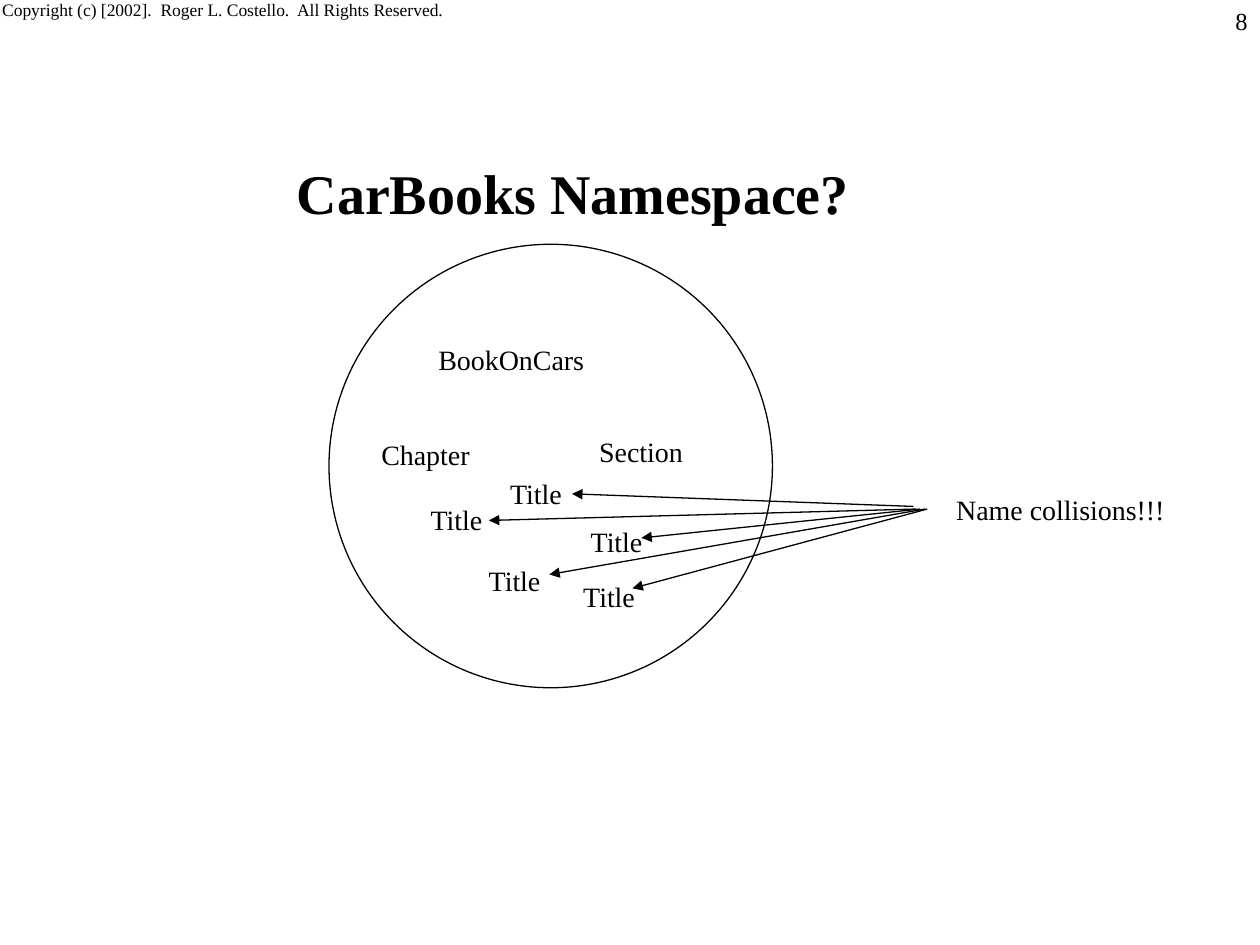
from dataclasses import dataclass

from lxml import etree
from pptx import Presentation
from pptx import util as u
from pptx.dml.color import RGBColor
from pptx.enum import shapes, text
from pptx.oxml import ns


@dataclass(frozen=True)
class Theme:
    ink: RGBColor = RGBColor(0, 0, 0)
    paper: RGBColor = RGBColor(255, 255, 255)
    font: str = "Times New Roman"
    title: float = 32
    spacer: float = 24
    label: float = 16
    number: float = 14
    notice: float = 10
    line: float = 0.75


THEME = Theme()
LABEL_HEIGHT = 26.6

# Element names in the namespace: text, left, top, width
NAMES = [
    ("BookOnCars", 243.4, 192.4, 98.5),
    ("Chapter", 210.8, 246.4, 65.5),
    ("Section", 335.3, 244.8, 63),
]

# Colliding titles: left, top of the label, then arrow start and tip
TITLE_WIDTH = 45
TITLES = [
    ((284.4, 268.6), (522, 289.4), (326.9, 282.2)),
    ((239, 283.9), (523.4, 290.9), (279.4, 297.4)),
    ((330.5, 296.1), (525.6, 290.9), (366.5, 307.4)),
    ((272.2, 318.4), (528.5, 290.9), (313.9, 328.3)),
    ((326.2, 327.6), (529.9, 290.9), (361.4, 336.2)),
]


def add_text(s, box, runs, bold=False, wrap=False, align=text.PP_ALIGN.LEFT):
    """Add a one-paragraph text box; runs are (words, size) pairs."""
    sp = s.shapes.add_textbox(*map(u.Pt, box))
    tf = sp.text_frame
    tf.word_wrap = wrap
    if not wrap:
        tf.auto_size = text.MSO_AUTO_SIZE.SHAPE_TO_FIT_TEXT
    p = tf.paragraphs[0]
    p.alignment = align
    for words, size in runs:
        r = p.add_run()
        r.text = words
        r.font.name = THEME.font
        r.font.size = u.Pt(size)
        r.font.bold = bold
        r.font.color.rgb = THEME.ink


def add_label(s, words, left, top, width):
    add_text(s, (left, top, width, LABEL_HEIGHT), [(words, THEME.label)])


def add_circle(s, left, top, size):
    sp = s.shapes.add_shape(shapes.MSO_SHAPE.OVAL,
                            *map(u.Pt, (left, top, size, size)))
    sp.shadow.inherit = False
    sp.fill.solid()
    sp.fill.fore_color.rgb = THEME.paper
    sp.line.color.rgb = THEME.ink
    sp.line.width = u.Pt(THEME.line)


def add_arrow(s, start, tip):
    sp = s.shapes.add_connector(shapes.MSO_CONNECTOR.STRAIGHT,
                                *map(u.Pt, start + tip))
    sp.line.color.rgb = THEME.ink
    sp.line.width = u.Pt(THEME.line)
    props = sp._element.spPr
    head = etree.SubElement(props.find(ns.qn("a:ln")), ns.qn("a:tailEnd"))
    head.set("type", "triangle")
    etree.SubElement(props, ns.qn("a:effectLst"))


def main():
    prs = Presentation()
    prs.slide_width, prs.slide_height = u.Pt(720), u.Pt(540)
    s = prs.slides.add_slide(prs.slide_layouts[6])

    # Copyright line; the larger space sets its line height
    notice = "Copyright (c) [2002].  Roger L. Costello.  All Rights Reserved."
    add_text(s, (-5.8, -18, 273.5, 36),
             [(notice, THEME.notice), (" ", THEME.spacer)])

    # Namespace circle and its names
    add_circle(s, 188, 139.6, 253.4)
    for name in NAMES:
        add_label(s, *name)
    for place, _, _ in TITLES:
        add_label(s, "Title", *place, TITLE_WIDTH)

    # Arrows from the remark to each title
    for _, start, tip in TITLES:
        add_arrow(s, start, tip)
    add_label(s, "Name collisions!!!", 539.3, 277.9, 134.5)

    # Heading and page number
    add_text(s, (162.4, 87.1, 331, 46.1),
             [("CarBooks Namespace?", THEME.title)], bold=True)
    add_text(s, (570, 0, 150, 36), [("8", THEME.number)],
             wrap=True, align=text.PP_ALIGN.RIGHT)

    prs.save("out.pptx")


if __name__ == "__main__":
    main()
